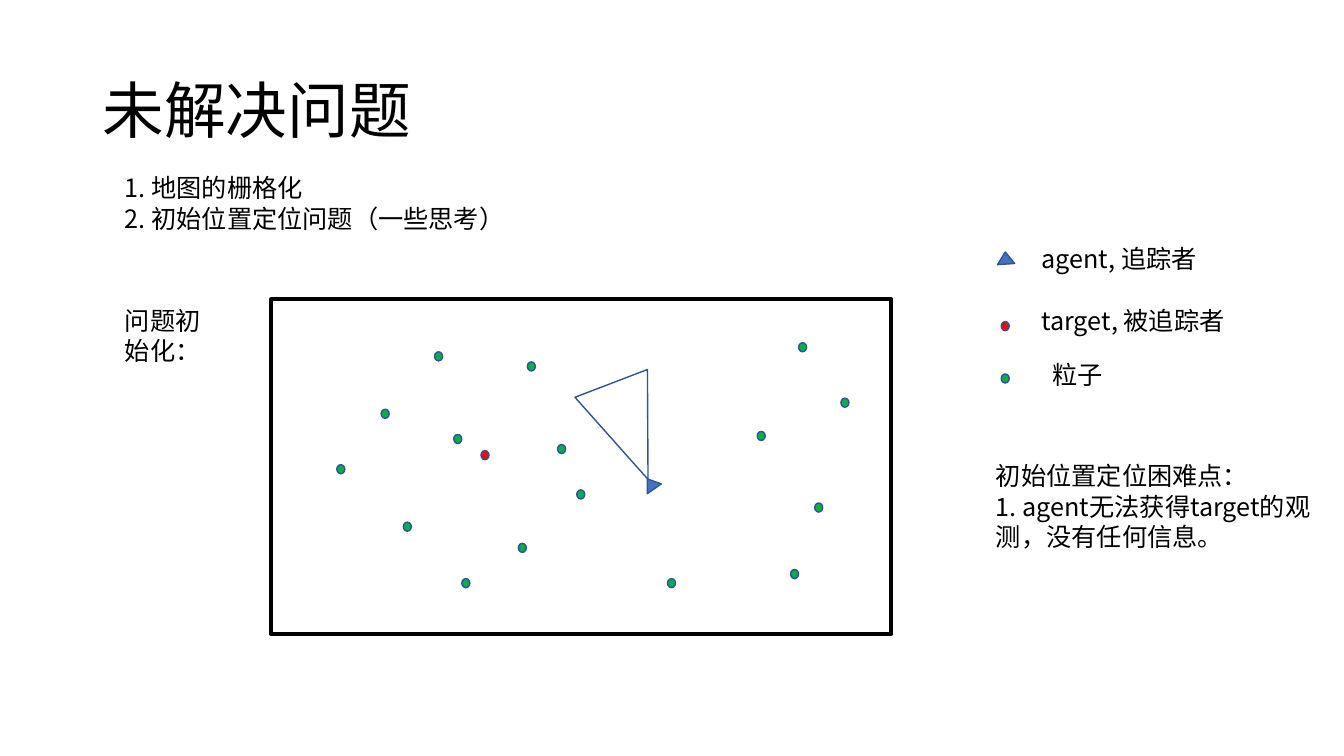
from dataclasses import dataclass

from lxml import etree
from pptx import Presentation
from pptx.dml.color import RGBColor
from pptx.enum.shapes import MSO_SHAPE
from pptx.enum.text import MSO_ANCHOR
from pptx.oxml.ns import qn
from pptx.util import Inches, Pt

RECTANGLE = MSO_SHAPE.RECTANGLE
TRIANGLE = MSO_SHAPE.ISOSCELES_TRIANGLE
VIEW_CONE = MSO_SHAPE.FLOWCHART_MERGE
ELLIPSE = MSO_SHAPE.OVAL
TOP, MIDDLE = MSO_ANCHOR.TOP, MSO_ANCHOR.MIDDLE


@dataclass(frozen=True)
class Theme:
    """Colours, type sizes and line settings of the slide."""
    font: str = "Noto Sans CJK SC"
    ink: str = "000000"
    agent: str = "4472C4"
    outline: str = "325491"
    target: str = "FF0000"
    particle: str = "00B050"
    title_size: int = 44
    body_size: int = 18
    title_spacing: float = 0.9
    body_spacing: int = Pt(22)
    border_width: int = 3
    marker_width: int = 1


THEME = Theme()

PARTICLES = [
    (7.51, 4.28), (7.84, 5.65), (4, 5.18), (3.78, 4.06), (4.31, 3.49),
    (5.23, 3.59), (4.5, 4.31), (5.14, 5.39), (8.08, 4.99), (7.92, 3.4),
    (8.34, 3.95), (6.62, 5.74), (5.72, 4.86), (5.53, 4.41), (3.34, 4.61),
    (4.58, 5.74),
]
LEGEND_DOTS = [(9.93, 3.19, THEME.target), (9.93, 3.71, THEME.particle)]
BODY_TEXTS = [
    ((1.14, 1.66, 10.62, 0.71), ["1. 地图的栅格化", "2. 初始位置定位问题（一些思考）"]),
    ((1.14, 2.97, 1.19, 0.71), ["问题初始化："]),
    ((10.23, 2.36, 1.95, 0.4), ["agent, 追踪者"]),
    ((10.23, 2.97, 2.3, 0.4), ["target, 被追踪者"]),
    ((10.34, 3.51, 2.3, 0.4), ["粒子"]),
    ((9.78, 4.51, 3.42, 1.01),
     ["初始位置定位困难点：", "1. agent无法获得target的观测，没有任何信息。"]),
]


def add_text(slide, bounds, lines, size=THEME.body_size,
             spacing=THEME.body_spacing, anchor=TOP):
    """Add a wrapped text box with one paragraph per line."""
    frame = slide.shapes.add_textbox(*map(Inches, bounds)).text_frame
    frame.word_wrap = True
    frame.vertical_anchor = anchor
    for index, line in enumerate(lines):
        paragraph = frame.add_paragraph() if index else frame.paragraphs[0]
        paragraph.line_spacing = spacing
        run = paragraph.add_run()
        run.text = line
        run.font.size = Pt(size)
        run.font.name = THEME.font
        run.font.color.rgb = RGBColor.from_string(THEME.ink)
        east_asian = etree.SubElement(run.font._element, qn("a:ea"))
        east_asian.set("typeface", THEME.font)


def add_figure(slide, kind, bounds, fill=None, line=THEME.outline,
               width=THEME.marker_width, rotation=0):
    """Add an outlined preset shape, hollow unless a fill is given."""
    figure = slide.shapes.add_shape(kind, *map(Inches, bounds))
    figure.shadow.inherit = False
    figure.rotation = rotation
    figure.line.color.rgb = RGBColor.from_string(line)
    figure.line.width = Pt(width)
    if fill:
        figure.fill.solid()
        figure.fill.fore_color.rgb = RGBColor.from_string(fill)
    else:
        figure.fill.background()


def add_dot(slide, left, top, colour):
    """Add a small round marker."""
    add_figure(slide, ELLIPSE, (left, top, 0.08, 0.09), colour)


def add_agent(slide, left, top, rotation):
    """Add the triangle that marks the agent."""
    add_figure(slide, TRIANGLE, (left, top, 0.17, 0.12), THEME.agent,
               rotation=rotation)


def add_map(slide):
    """Draw the bordered map with the agent, its view, target and particles."""
    add_figure(slide, RECTANGLE, (2.69, 2.97, 6.15, 3.32), line=THEME.ink,
               width=THEME.border_width)
    add_agent(slide, 6.37, 4.74, 325)
    add_figure(slide, VIEW_CONE, (5.86, 3.77, 0.77, 1.02), rotation=339)
    add_dot(slide, 4.77, 4.47, THEME.target)
    for left, top in PARTICLES:
        add_dot(slide, left, top, THEME.particle)


def add_legend_markers(slide):
    """Draw the markers beside the legend labels."""
    add_agent(slide, 9.89, 2.5, 356)
    for left, top, colour in LEGEND_DOTS:
        add_dot(slide, left, top, colour)


def main():
    """Build and save the slide."""
    presentation = Presentation()
    presentation.slide_width = Inches(13.33)
    presentation.slide_height = Inches(7.5)
    slide = presentation.slides.add_slide(presentation.slide_layouts[6])
    add_text(slide, (0.92, 0.4, 11.5, 1.45), ["未解决问题"],
             THEME.title_size, THEME.title_spacing, MIDDLE)
    add_map(slide)
    add_legend_markers(slide)
    for bounds, lines in BODY_TEXTS:
        add_text(slide, bounds, lines)
    presentation.save("out.pptx")


if __name__ == "__main__":
    main()
